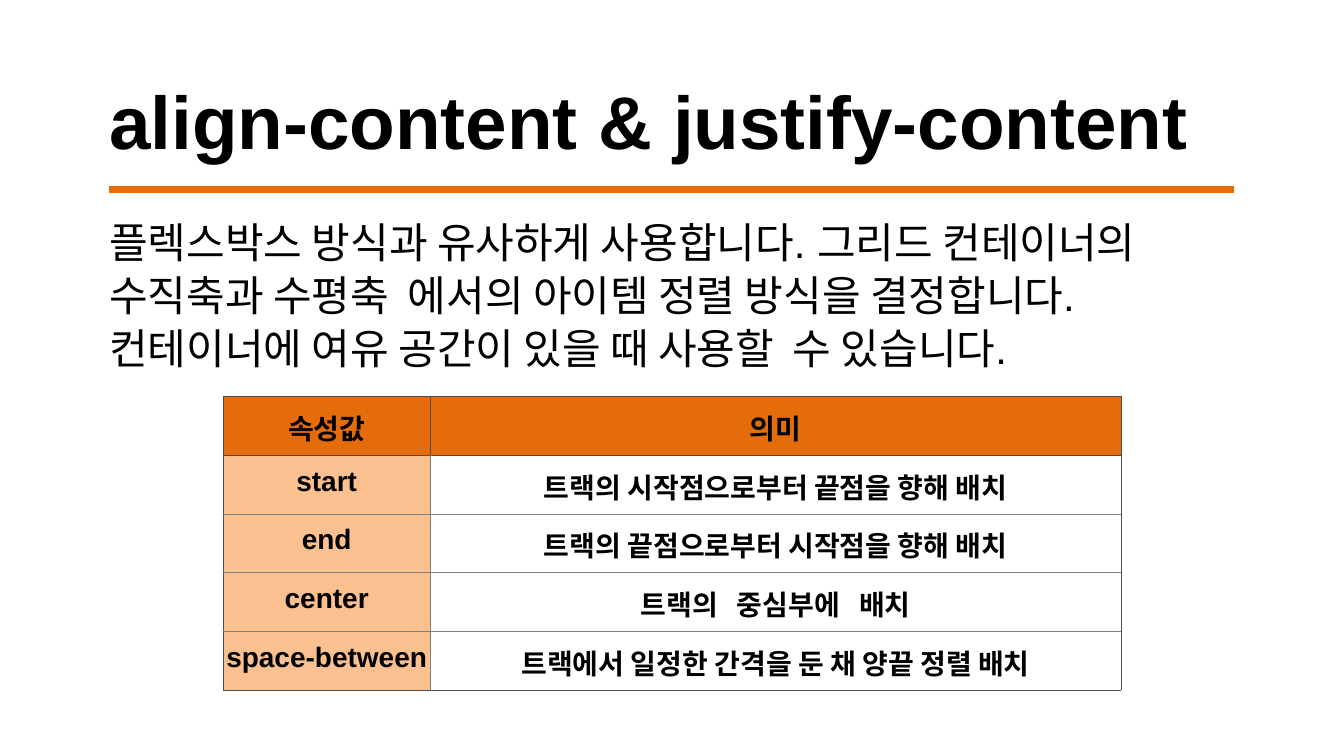
from lxml import etree
from pptx import Presentation
from pptx import util as u
from pptx.dml.color import RGBColor
from pptx.enum import shapes, text
from pptx.oxml.ns import qn

TITLE = "align-content & justify-content"
BODY = ("플렉스박스 방식과 유사하게 사용합니다. 그리드 컨테이너의 수직축과 수평축  에서의 "
        "아이템 정렬 방식을 결정합니다. 컨테이너에 여유 공간이 있을 때 사용할  수 있습니다.")
VALUES = [
    ("속성값", "의미"),
    ("start", "트랙의 시작점으로부터 끝점을 향해 배치"),
    ("end", "트랙의 끝점으로부터 시작점을 향해 배치"),
    ("center", "트랙의   중심부에   배치"),
    ("space-between", "트랙에서 일정한 간격을 둔 채 양끝 정렬 배치"),
]
COLUMNS = (3.39, 11.3)
ROW = 0.96
WIDTH, HEIGHT = 21.99, 12.37
LEFT, RULE_WIDTH = 1.79, 18.4
ORANGE, PEACH, WHITE, BLACK = "E46C0A", "FAC090", "FFFFFF", "000000"
FRAME, GRID = "4D4D4D", "808080"


def color(value):
    return RGBColor.from_string(value)


def style(paragraph, size, bold, before):
    paragraph.space_before = u.Pt(before)
    paragraph.font.name = "Arial"
    paragraph.font.size = u.Pt(size)
    paragraph.font.bold = bold
    paragraph.font.color.rgb = color(BLACK)


def add_text(slide, words, box, size, bold, right_inset=0):
    frame = slide.shapes.add_textbox(*map(u.Inches, box)).text_frame
    frame.word_wrap = True
    frame.margin_left = frame.margin_bottom = 0
    frame.margin_top = u.Inches(0.01)
    frame.margin_right = u.Inches(right_inset)
    paragraph = frame.paragraphs[0]
    paragraph.text = words
    style(paragraph, size, bold, 1)
    return paragraph


def add_border(cell, side, value):
    edge = etree.SubElement(cell._tc.get_or_add_tcPr(), qn(f"a:ln{side}"), w=str(u.Pt(1)))
    fill = etree.SubElement(edge, qn("a:solidFill"))
    etree.SubElement(fill, qn("a:srgbClr"), val=value)


def add_values(slide):
    box = (3.65, 6.49, sum(COLUMNS), ROW * len(VALUES))
    table = slide.shapes.add_table(len(VALUES), len(COLUMNS), *map(u.Inches, box)).table
    for column, width in zip(table.columns, COLUMNS):
        column.width = u.Inches(width)
    last_row, last_column = len(VALUES) - 1, len(COLUMNS) - 1
    for r, entry in enumerate(VALUES):
        table.rows[r].height = u.Inches(ROW)
        for c, words in enumerate(entry):
            cell = table.cell(r, c)
            cell.margin_left = cell.margin_right = cell.margin_bottom = 0
            cell.margin_top = u.Inches(0.17)
            paragraph = cell.text_frame.paragraphs[0]
            paragraph.text = words
            paragraph.alignment = text.PP_ALIGN.CENTER
            style(paragraph, 33, True, 12.6)
            framed = {"L": r == 0 or c == 0, "R": r == 0 or c == last_column,
                      "T": r <= 1, "B": r in (0, last_row)}
            for side, outer in framed.items():
                add_border(cell, side, FRAME if outer else GRID)
            cell.fill.solid()
            cell.fill.fore_color.rgb = color(ORANGE if r == 0 else PEACH if c == 0 else WHITE)


def main():
    deck = Presentation()
    deck.slide_width, deck.slide_height = u.Inches(WIDTH), u.Inches(HEIGHT)
    slide = deck.slides.add_slide(deck.slide_layouts[6])
    add_text(slide, TITLE, (LEFT, 1.22, WIDTH - LEFT, 1.49), 88, True)
    body = add_text(slide, BODY, (LEFT, 3.49, WIDTH - LEFT, 2.6), 49.5, False,
                    WIDTH - LEFT - RULE_WIDTH)
    body.line_spacing = 1.05
    rule = slide.shapes.add_connector(
        shapes.MSO_CONNECTOR.STRAIGHT, *map(u.Inches, (LEFT, 3.1, LEFT + RULE_WIDTH, 3.1)))
    rule.line.color.rgb = color(ORANGE)
    rule.line.width = u.Pt(8.25)
    etree.SubElement(rule._element.spPr, qn("a:effectLst"))
    add_values(slide)
    deck.save("out.pptx")


if __name__ == "__main__":
    main()
